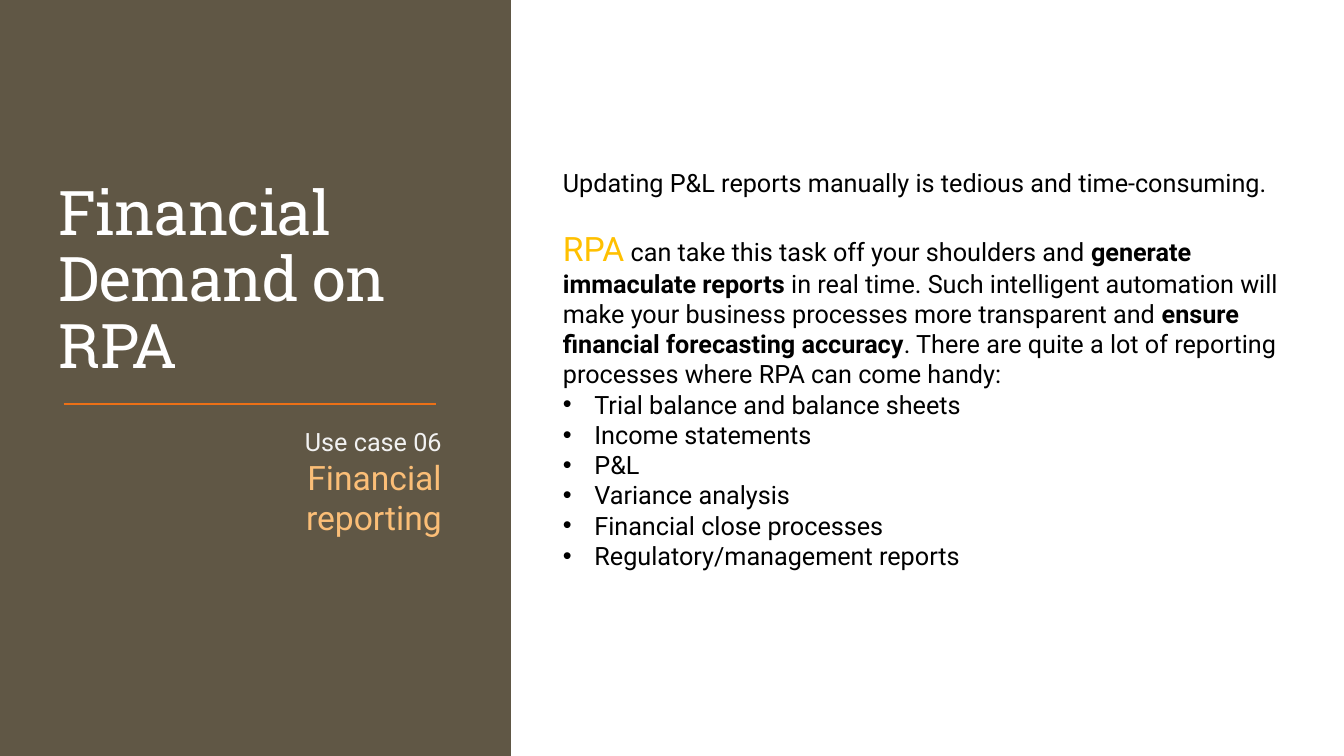
from pptx import Presentation
from pptx.dml.color import RGBColor
from pptx.enum.shapes import MSO_CONNECTOR, MSO_SHAPE
from pptx.enum.text import MSO_ANCHOR, PP_ALIGN
from pptx.oxml.ns import qn
from pptx.util import Pt
from lxml.etree import SubElement

BODY = {"name": "Roboto", "size": Pt(18), "color": "000000"}
BOLD = {**BODY, "bold": True}
ACCENT = {**BODY, "size": Pt(24), "color": "FFC000"}
TITLE = {"name": "Roboto Slab", "size": Pt(44), "color": "FFFFFF"}
CASE_LABEL = {**BODY, "color": "F2F2F2"}
CASE_NAME = {**BODY, "size": Pt(24), "color": "FBBE77"}

INTRO = "Updating P&L reports manually is tedious and time-consuming."
BENEFITS = [
    ("RPA", ACCENT),
    (" can take this task off your shoulders and ", BODY),
    ("generate immaculate reports", BOLD),
    (" in real time. Such intelligent automation will make your business "
     "processes more transparent and ", BODY),
    ("ensure financial forecasting accuracy", BOLD),
    (". There are quite a lot of reporting processes where RPA can come handy:", BODY),
]
REPORTS = ["Trial balance and balance sheets", "Income statements", "P&L",
           "Variance analysis", "Financial close processes",
           "Regulatory/management reports"]


def color(value):
    return RGBColor.from_string(value)


def add_text(page, left, top, width, height, paragraphs, anchor=MSO_ANCHOR.TOP):
    box = page.shapes.add_textbox(Pt(left), Pt(top), Pt(width), Pt(height))
    frame = box.text_frame
    frame.word_wrap = True
    frame.vertical_anchor = anchor
    for index, (spans, layout) in enumerate(paragraphs):
        para = frame.add_paragraph() if index else frame.paragraphs[0]
        for name, value in layout.items():
            setattr(para, name, value)
        for text, style in spans:
            span = para.add_run()
            span.text = text
            for name, value in style.items():
                if name == "color":
                    span.font.color.rgb = color(value)
                else:
                    setattr(span.font, name, value)
    return frame


def add_bullet(para, indent):
    properties = para._p.get_or_add_pPr()
    properties.set("marL", str(Pt(indent)))
    properties.set("indent", str(-Pt(indent)))
    SubElement(properties, qn("a:buFont"), typeface="Arial")
    SubElement(properties, qn("a:buChar"), char="•")


def add_title_panel(page, left, top, width, height):
    panel = page.shapes.add_shape(
        MSO_SHAPE.RECTANGLE, Pt(left), Pt(top), Pt(width), Pt(height))
    panel.shadow.inherit = False
    panel.fill.solid()
    panel.fill.fore_color.rgb = color("605745")
    panel.line.fill.background()

    title = add_text(page, left + 35, top + 50, 288, 226,
                     [([("Financial Demand on RPA", TITLE)], {"line_spacing": 0.9})],
                     MSO_ANCHOR.BOTTOM)
    title.paragraphs[0].runs[0].font._element.set("spc", "-50")

    rule_top = Pt(top + 288.7)
    rule = page.shapes.add_connector(
        MSO_CONNECTOR.STRAIGHT, Pt(left + 45.4), rule_top, Pt(left + 311.8), rule_top)
    rule.line.color.rgb = color("EC7016")
    rule.line.width = Pt(1.5)
    SubElement(rule._element.spPr, qn("a:effectLst"))

    right = {"alignment": PP_ALIGN.RIGHT}
    add_text(page, left + 116.6, top + 301, 206, 87,
             [([("Use case 06", CASE_LABEL)], right),
              ([("Financial reporting", CASE_NAME)], right)])


def add_details(page, left, top, width, height):
    paragraphs = [([(INTRO, BODY)], {"space_after": Pt(21.5)}), (BENEFITS, {})]
    paragraphs += [([(report, BODY)], {}) for report in REPORTS]
    frame = add_text(page, left, top, width, height, paragraphs)
    for para in frame.paragraphs[-len(REPORTS):]:
        add_bullet(para, 22.5)


def main():
    deck = Presentation()
    deck.slide_width, deck.slide_height = Pt(960), Pt(540)
    page = deck.slides.add_slide(deck.slide_layouts[6])
    add_title_panel(page, 0, 0, 365, 540)
    add_details(page, 395, 116, 548, 298)
    deck.save("out.pptx")


if __name__ == "__main__":
    main()
